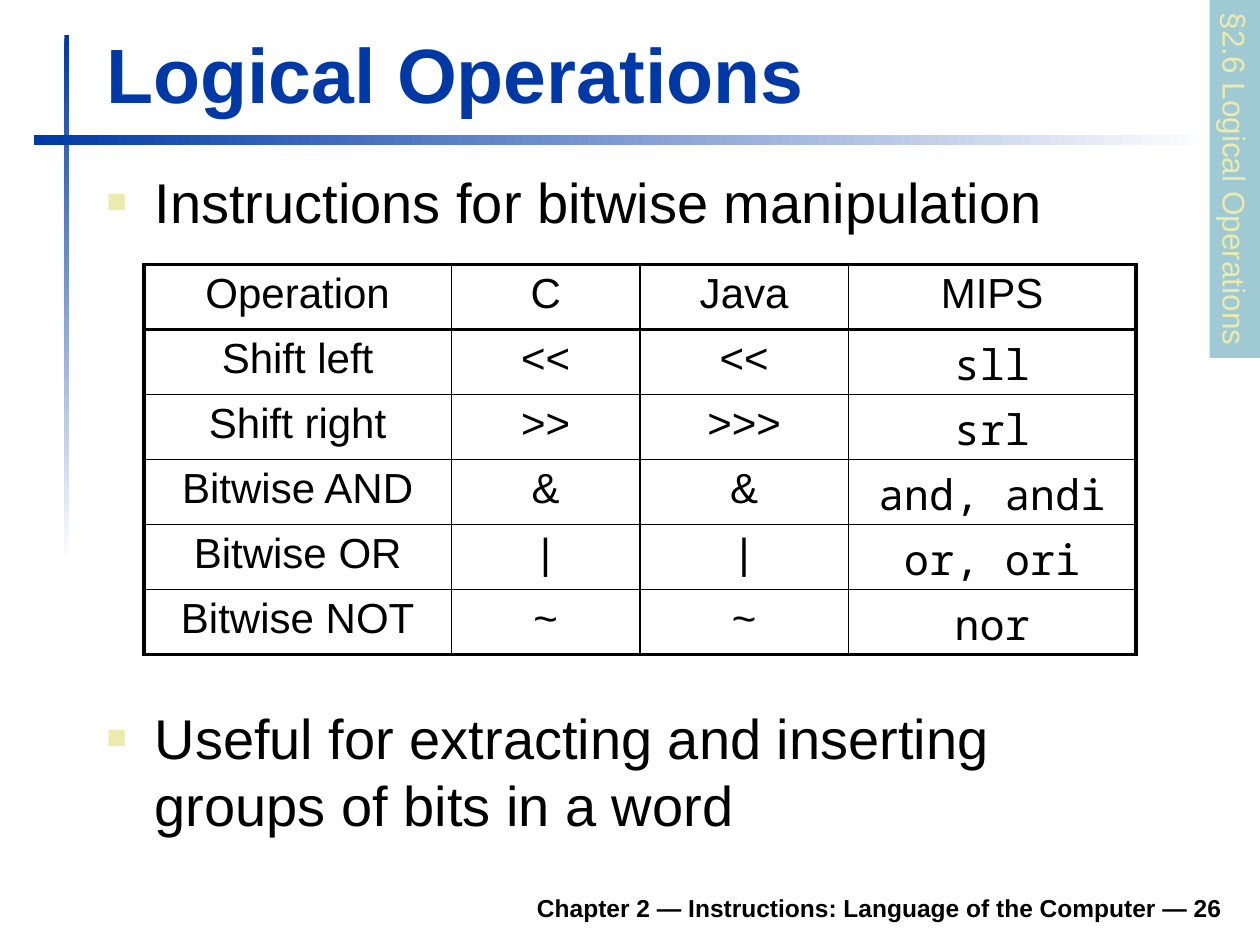
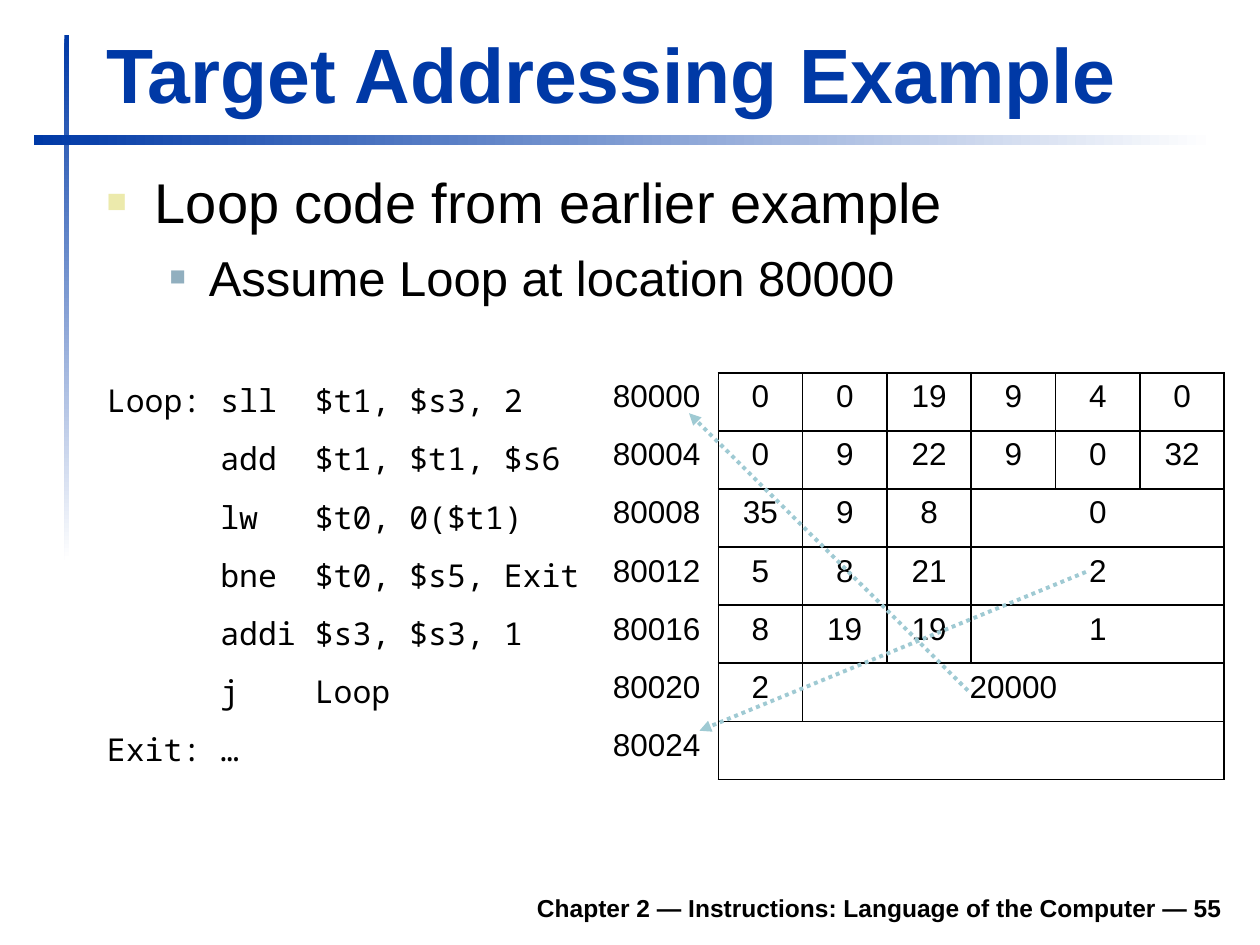
from lxml import etree
from pptx import Presentation
from pptx import util as u
from pptx.dml.color import RGBColor
from pptx.enum import dml, shapes, text
from pptx.oxml import ns

BLUE = RGBColor(0x00, 0x39, 0xA6)
WHITE = RGBColor(0xFF, 0xFF, 0xFF)
BLACK = RGBColor(0x00, 0x00, 0x00)
CREAM = RGBColor(0xEC, 0xEA, 0xAC)
STEEL = RGBColor(0x91, 0xAF, 0xBF)
TEAL = RGBColor(0x9F, 0xCA, 0xD3)
SANS, MONO = "Arial", "Noto Sans Mono"
LEFT, MID, RIGHT = text.PP_ALIGN.LEFT, text.PP_ALIGN.CENTER, text.PP_ALIGN.RIGHT

# Bullet levels: left margin, hanging indent, colour, size percent, text size
LEVELS = [(0.97, -0.97, CREAM, 60, 32), (2.06, -0.79, STEEL, 55, 28)]


def write(frame, words, size=18, font=SANS, color=BLACK, bold=False,
          align=LEFT, level=None):
    """Fill the first paragraph of a frame, or add one after it."""
    fresh = not frame.text
    para = frame.paragraphs[0] if fresh else frame.add_paragraph()
    para.alignment = align
    if level is not None:
        margin, hang, tint, scale, size = LEVELS[level]
        props = para._p.get_or_add_pPr()
        props.set("marL", str(u.Cm(margin)))
        props.set("indent", str(u.Cm(hang)))
        paint = etree.SubElement(props, ns.qn("a:buClr"))
        etree.SubElement(paint, ns.qn("a:srgbClr"), val=str(tint))
        etree.SubElement(props, ns.qn("a:buSzPct"), val=str(scale * 1000))
        etree.SubElement(props, ns.qn("a:buFont"), typeface=SANS)
        etree.SubElement(props, ns.qn("a:buChar"), char="■")
        if not fresh:
            para.space_before = u.Pt(size * 0.25)
    run = para.add_run()
    run.text = words
    run.font.size, run.font.name, run.font.bold = u.Pt(size), font, bold
    run.font.color.rgb = color


def border(cell, **sides):
    """Draw the four sides of a cell, each given as (colour, points)."""
    props = cell._tc.get_or_add_tcPr()
    for side in "LRTB":
        color, width = sides.get(side, (BLACK, 1))
        line = etree.SubElement(props, ns.qn("a:ln" + side), w=str(u.Pt(width)))
        fill = etree.SubElement(line, ns.qn("a:solidFill"))
        etree.SubElement(fill, ns.qn("a:srgbClr"), val=str(color))
    cell.fill.background()


deck = Presentation()
deck.slide_width, deck.slide_height = u.Cm(25.4), u.Cm(19.05)

# Shared frame: rules, footer, title and bullets
PAGES = [
    ("Logical Operations", 26,
     [(3.12, 1.93, ["Instructions for bitwise manipulation"]),
      (13.92, 3, ["Useful for extracting and inserting groups of bits in a word"])]),
    ("Target Addressing Example", 55,
     [(3.12, 3.4, ["Loop code from earlier example",
                   "Assume Loop at location 80000"])]),
]
RULES = [(1.3, 0.71, 0.1, 10.59, 270), (0.69, 2.72, 23.8, 0.2, 0)]
for title, page, lists in PAGES:
    slide = deck.slides.add_slide(deck.slide_layouts[6])
    for *place, angle in RULES:
        rule = slide.shapes.add_shape(shapes.MSO_SHAPE.RECTANGLE, *map(u.Cm, place))
        rule.shadow.inherit = False
        rule.line.fill.background()
        rule.fill.gradient()
        rule.fill.gradient_angle = angle
        for stop, color in zip(rule.fill.gradient_stops, (BLUE, WHITE)):
            stop.color.rgb = color

    footer = f"Chapter 2 — Instructions: Language of the Computer — {page}"
    for place, words, form in [
            ((4.7, 17.73, 20.19, 0.99), footer, dict(size=14, align=RIGHT)),
            ((1.9, 0.41, 22.94, 2.11), title, dict(size=44, color=BLUE))]:
        frame = slide.shapes.add_textbox(*map(u.Cm, place)).text_frame
        frame.word_wrap = True
        frame.vertical_anchor = text.MSO_ANCHOR.BOTTOM
        write(frame, words, bold=True, **form)

    for top, tall, items in lists:
        box = slide.shapes.add_textbox(u.Cm(1.9), u.Cm(top), u.Cm(22), u.Cm(tall))
        box.text_frame.word_wrap = True
        box.text_frame.margin_top = u.Cm(0.26)
        for level, item in enumerate(items):
            write(box.text_frame, item, level=level)

first, second = deck.slides

# Slide 1: table of operations
OPS = [
    ("Operation", "C", "Java", "MIPS"),
    ("Shift left", "<<", "<<", "sll"),
    ("Shift right", ">>", ">>>", "srl"),
    ("Bitwise AND", "&", "&", "and, andi"),
    ("Bitwise OR", "|", "|", "or, ori"),
    ("Bitwise NOT", "~", "~", "nor"),
]
WIDE = [6.2, 3.8, 4.2, 5.8]
grid = first.shapes.add_table(len(OPS), len(WIDE), u.Cm(2.9), u.Cm(5.33),
                              u.Cm(sum(WIDE)), u.Cm(1.31 * len(OPS))).table
grid.first_row = grid.horz_banding = False
for col, width in zip(grid.columns, WIDE):
    col.width = u.Cm(width)
THICK, HEAD, THIN = (BLACK, 2.25), (BLACK, 1.5), (BLACK, 1)
for r, row in enumerate(OPS):
    for c, words in enumerate(row):
        cell = grid.cell(r, c)
        code = r > 0 and c == 3
        write(cell.text_frame, words, size=24, align=MID, font=MONO if code else SANS)
        border(cell,
               L=THICK if c == 0 else THIN,
               R=THICK if c == len(WIDE) - 1 else THIN,
               T=THICK if r == 0 else HEAD if r == 1 else THIN,
               B=THICK if r == len(OPS) - 1 else HEAD if r == 0 else THIN)

# Slide 1: section tab on the right edge
tab = first.shapes.add_shape(shapes.MSO_SHAPE.RECTANGLE, u.Cm(21.29), u.Cm(3.1),
                             u.Cm(7.21), u.Cm(1.02))
tab.rotation = 90
tab.shadow.inherit = False
tab.line.fill.background()
tab.fill.solid()
tab.fill.fore_color.rgb = TEAL
tab.text_frame.word_wrap = False
tab.text_frame.vertical_anchor = text.MSO_ANCHOR.TOP
write(tab.text_frame, "§2.6 Logical Operations", color=CREAM)

# Slide 2: code, addresses and instruction fields; the last field fills its row
CODE = [
    ("Loop: sll  $t1, $s3, 2", [0, 0, 19, 9, 4, 0]),
    ("      add  $t1, $t1, $s6", [0, 9, 22, 9, 0, 32]),
    ("      lw   $t0, 0($t1)", [35, 9, 8, 0]),
    ("      bne  $t0, $s5, Exit", [5, 8, 21, 2]),
    ("      addi $s3, $s3, 1", [8, 19, 19, 1]),
    ("      j    Loop", [2, 20000]),
    ("Exit: …", [""]),
]
WIDE = [10.2, 2.38] + [1.7] * 6
grid = second.shapes.add_table(len(CODE), len(WIDE), u.Cm(1.9), u.Cm(7.52),
                               u.Cm(sum(WIDE)), u.Cm(1.17 * len(CODE))).table
grid.first_row = grid.horz_banding = False
for col, width in zip(grid.columns, WIDE):
    col.width = u.Cm(width)
BLANK = (WHITE, 1)
for r, (line, fields) in enumerate(CODE):
    write(grid.cell(r, 0).text_frame, line, font=MONO)
    write(grid.cell(r, 1).text_frame, str(80000 + 4 * r))
    for c, field in enumerate(fields, 2):
        if field != "":
            write(grid.cell(r, c).text_frame, str(field), align=MID)
    for c in range(len(WIDE)):
        side = BLANK if c < 2 else THIN
        border(grid.cell(r, c), L=side, T=side, B=side, R=BLANK if c == 0 else THIN)
    last = len(fields) + 1
    if last < len(WIDE) - 1:
        grid.cell(r, last).merge(grid.cell(r, len(WIDE) - 1))

# Slide 2: arrows from target fields to addresses
for ends in [(19.51, 13.92, 13.89, 8.33), (21.89, 11.53, 14.1, 14.73)]:
    arrow = second.shapes.add_connector(shapes.MSO_CONNECTOR.STRAIGHT, *map(u.Cm, ends))
    arrow.line.color.rgb = TEAL
    arrow.line.width = u.Pt(2.25)
    arrow.line.dash_style = dml.MSO_LINE.ROUND_DOT
    etree.SubElement(arrow.line._get_or_add_ln(), ns.qn("a:tailEnd"), type="triangle")
    etree.SubElement(arrow._element.spPr, ns.qn("a:effectLst"))

deck.save("out.pptx")
